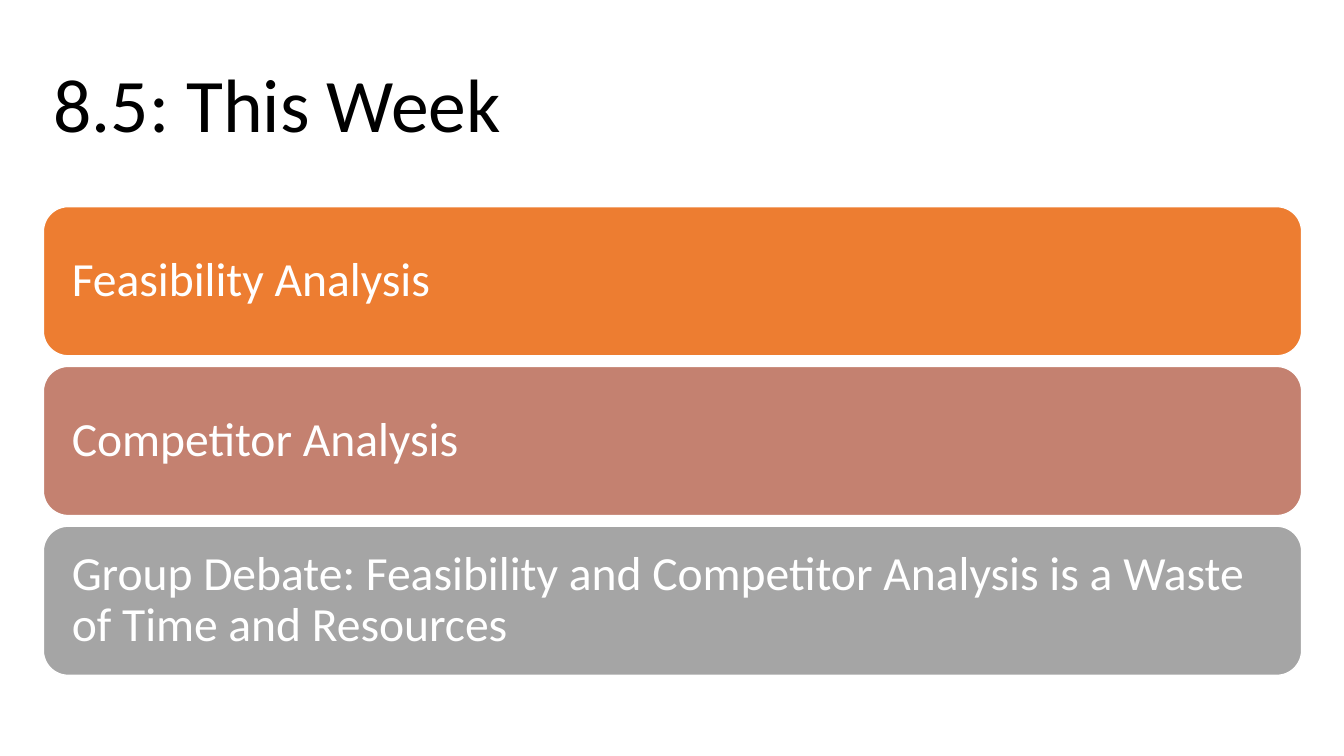
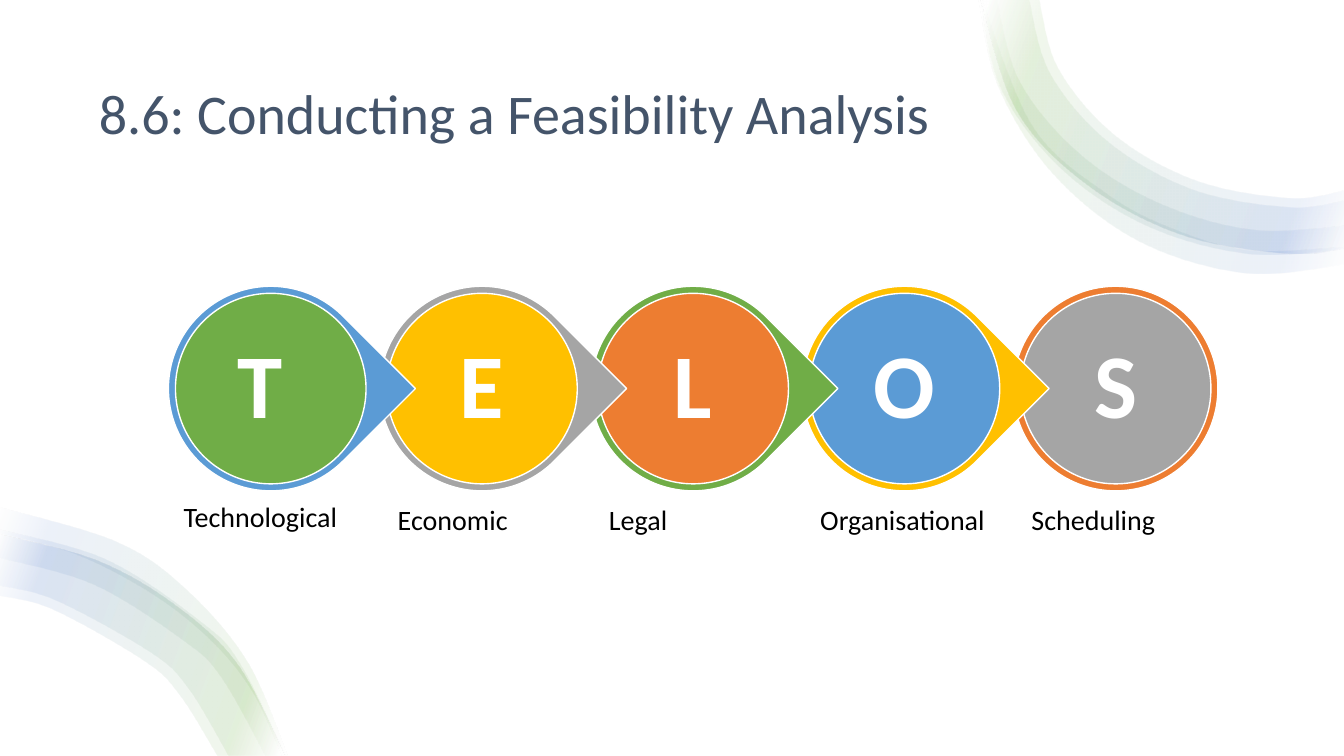
from lxml import etree
from pptx import Presentation
from pptx.dml.color import RGBColor
from pptx.enum.shapes import MSO_SHAPE
from pptx.enum.text import MSO_ANCHOR, MSO_AUTO_SIZE, PP_ALIGN
from pptx.oxml.ns import qn
from pptx.util import Inches, Pt

ROUNDED = MSO_SHAPE.ROUNDED_RECTANGLE
OVAL = MSO_SHAPE.OVAL
TEARDROP = MSO_SHAPE.TEAR
TOP, MIDDLE = MSO_ANCHOR.TOP, MSO_ANCHOR.MIDDLE
LEFT, CENTER = PP_ALIGN.LEFT, PP_ALIGN.CENTER
NO_AUTOFIT = MSO_AUTO_SIZE.NONE

FONT = "Calibri"
WHITE, BLACK, SLATE = "FFFFFF", "000000", "44546A"
ORANGE, ROSE, GRAY = "ED7D31", "C48170", "A5A5A5"
GREEN, GOLD, BLUE = "70AD47", "FFC000", "5B9BD5"
RIBBON_STOPS = [(2, WHITE), (16, GREEN), (85, "4472C4"), (100, WHITE)]
RIBBON_OPACITY = 10

TOPICS = [
    ("Feasibility Analysis", ORANGE),
    ("Competitor Analysis", ROSE),
    ("Group Debate: Feasibility and Competitor Analysis is a Waste of Time and Resources", GRAY),
]

TELOS = [
    ("T ", "Technological", BLUE, GREEN, 0.08),
    ("E", "Economic", GRAY, GOLD, 0.11),
    ("L", "Legal", GREEN, ORANGE, 0.11),
    ("O", "Organisational", GOLD, BLUE, 0.11),
    ("S", "Scheduling", ORANGE, GRAY, 0.11),
]
FIRST_LEFT, LAST_LEFT, RING_TOP = 1.67, 10.05, 2.84
RING_SIZE, DISC_SIZE = 2.03, 1.89

TOP_EDGE = [(9.73, -0.01), (10.09, 1.1), (10.8, 1.84), (11.74, 2.33), (12.79, 2.51), (13.34, 2.45)]
TOP_RIBBON = [
    (TOP_EDGE,
     [(13.34, 1.88), (12.79, 1.96), (11.87, 1.79), (11.06, 1.34), (10.5, 0.68), (10.31, -0.01)]),
    (TOP_EDGE,
     [(13.34, 1.98), (12.79, 2.05), (11.84, 1.88), (11, 1.41), (10.42, 0.73), (10.21, -0.01)]),
    ([(9.73, -0.01), (9.94, 0.89), (10.54, 1.68), (11.39, 2.24), (12.39, 2.51), (13.34, 2.46)],
     [(13.34, 2.23), (12.42, 2.27), (11.5, 2.01), (10.71, 1.52), (10.12, 0.81), (9.89, -0.01)]),
    ([(9.71, -0.01), (9.91, 0.87), (10.46, 1.74), (11.31, 2.4), (12.36, 2.71), (13.34, 2.62)],
     [(13.34, 2.45), (12.39, 2.48), (11.66, 2.28), (10.99, 1.93), (10.25, 1.26), (9.74, -0.01)]),
]
BOTTOM_EDGE = [(2.82, 7.5), (2.35, 6.59), (1.73, 6), (0.96, 5.56), (0, 5.3)]
BOTTOM_RIBBON = [
    ([(2.85, 7.5), (2.45, 6.57), (1.84, 5.85), (1.15, 5.38), (0, 5.04)],
     [(0, 5.3), (0.76, 5.51), (1.51, 5.9), (2.09, 6.36), (2.5, 6.87), (2.79, 7.5)]),
    (BOTTOM_EDGE, [(0, 5.91), (0.53, 6.05), (1.43, 6.56), (1.78, 6.9), (2.15, 7.5)]),
    ([(2.83, 7.5), (2.38, 6.59), (2, 6.18), (1.06, 5.56), (0, 5.26)],
     [(0, 5.54), (0.94, 5.81), (1.82, 6.36), (2.19, 6.72), (2.63, 7.5)]),
    (BOTTOM_EDGE, [(0, 5.81), (0.56, 5.96), (1.5, 6.48), (1.87, 6.84), (2.26, 7.5)]),
]


def color(hex_value):
    return RGBColor.from_string(hex_value)


def write(shape, text, size, hex_value, align=LEFT, anchor=MIDDLE, inset=None, bold=False):
    frame = shape.text_frame
    frame.word_wrap = True
    frame.auto_size = NO_AUTOFIT
    frame.vertical_anchor = anchor
    if inset is not None:
        frame.margin_left = frame.margin_right = Inches(inset)
        frame.margin_top = frame.margin_bottom = Inches(inset)
    frame.text = text
    paragraph = frame.paragraphs[0]
    paragraph.alignment = align
    paragraph.line_spacing = 0.9
    paragraph.font.name = FONT
    paragraph.font.size = Pt(size)
    paragraph.font.bold = bold
    paragraph.font.color.rgb = color(hex_value)


def add_titled_slide(deck, text, box, size, hex_value):
    slide = deck.slides.add_slide(deck.slide_layouts[5])
    title = slide.shapes.title
    title.left, title.top, title.width, title.height = map(Inches, box)
    write(title, text, size, hex_value)
    return slide


def add_filled(slide, kind, box, fill):
    shape = slide.shapes.add_shape(kind, *map(Inches, box))
    shape.shadow.inherit = False
    shape.fill.solid()
    shape.fill.fore_color.rgb = color(fill)
    shape.line.color.rgb = color(WHITE)
    shape.line.width = Pt(1)
    return shape


def control_pairs(knots):
    padded = [knots[0], *knots, knots[-1]]
    return [
        (tuple(s + (e - b) / 6 for b, s, e in zip(before, start, end)),
         tuple(e - (a - s) / 6 for s, e, a in zip(start, end, after)))
        for before, start, end, after in zip(padded, padded[1:], padded[2:], padded[3:])
    ]


def bend_edges(band, outer, inner):
    controls = [*control_pairs(outer), None, *control_pairs(inner)]
    for segment, pair in zip(list(band._element.spPr.iter(qn("a:lnTo"))), controls):
        if pair is None:
            continue
        segment.tag = qn("a:cubicBezTo")
        for position, (x, y) in enumerate(pair):
            point = etree.Element(
                qn("a:pt"), x=str(Inches(x) - band.left), y=str(Inches(y) - band.top))
            segment.insert(position, point)


def apply_ribbon_gradient(band, angle):
    band.fill.gradient()
    band.fill.gradient_angle = angle
    stops = band._element.spPr.find(qn("a:gradFill")).find(qn("a:gsLst"))
    for stop in list(stops):
        stops.remove(stop)
    for position, hex_value in RIBBON_STOPS:
        stop = etree.SubElement(stops, qn("a:gs"), pos=str(position * 1000))
        tint = etree.SubElement(stop, qn("a:srgbClr"), val=hex_value)
        etree.SubElement(tint, qn("a:alpha"), val=str(RIBBON_OPACITY * 1000))


def add_ribbon(slide, bands, angle):
    for outer, inner in bands:
        outline = [(Inches(x), Inches(y)) for x, y in outer + inner]
        builder = slide.shapes.build_freeform(*outline[0])
        builder.add_line_segments(outline[1:], close=True)
        band = builder.convert_to_shape()
        bend_edges(band, outer, inner)
        band.shadow.inherit = False
        band.line.fill.background()
        apply_ribbon_gradient(band, angle)


def add_topic_banners(slide):
    for row, (topic, fill) in enumerate(TOPICS):
        banner = add_filled(slide, ROUNDED, (0.43, 2.05 + row * 1.585, 12.48, 1.48), fill)
        write(banner, topic, 34, WHITE, inset=0.21)


def add_telos_step(slide, index):
    letter, name, ring_fill, disc_fill, label_inset = TELOS[index]
    last = len(TELOS) - 1
    left = FIRST_LEFT + index * (LAST_LEFT - FIRST_LEFT) / last
    rim = (RING_SIZE - DISC_SIZE) / 2
    ring_box = (left, RING_TOP, RING_SIZE, RING_SIZE)
    if index == last:
        add_filled(slide, OVAL, ring_box, ring_fill)
    else:
        add_filled(slide, TEARDROP, ring_box, ring_fill).rotation = 45
    disc = add_filled(slide, OVAL, (left + rim, RING_TOP + rim, DISC_SIZE, DISC_SIZE), disc_fill)
    write(disc, letter, 65, WHITE, align=CENTER, inset=0.09, bold=True)
    label = slide.shapes.add_textbox(*map(Inches, (left + rim, 4.91, DISC_SIZE, 1.11)))
    write(label, name, 20, BLACK, anchor=TOP, inset=label_inset)


def main():
    deck = Presentation()
    deck.slide_width, deck.slide_height = Inches(13.33), Inches(7.5)

    week = add_titled_slide(deck, "8.5: This Week", (0.43, 0.35, 12.48, 1.45), 54, BLACK)
    add_topic_banners(week)

    feasibility = add_titled_slide(
        deck, "8.6: Conducting a Feasibility Analysis", (0.88, 0.5, 11.57, 1.3), 40, SLATE)
    add_ribbon(feasibility, TOP_RIBBON, 340)
    add_ribbon(feasibility, BOTTOM_RIBBON, 160)
    for index in reversed(range(len(TELOS))):
        add_telos_step(feasibility, index)

    deck.save("out.pptx")


if __name__ == "__main__":
    main()
